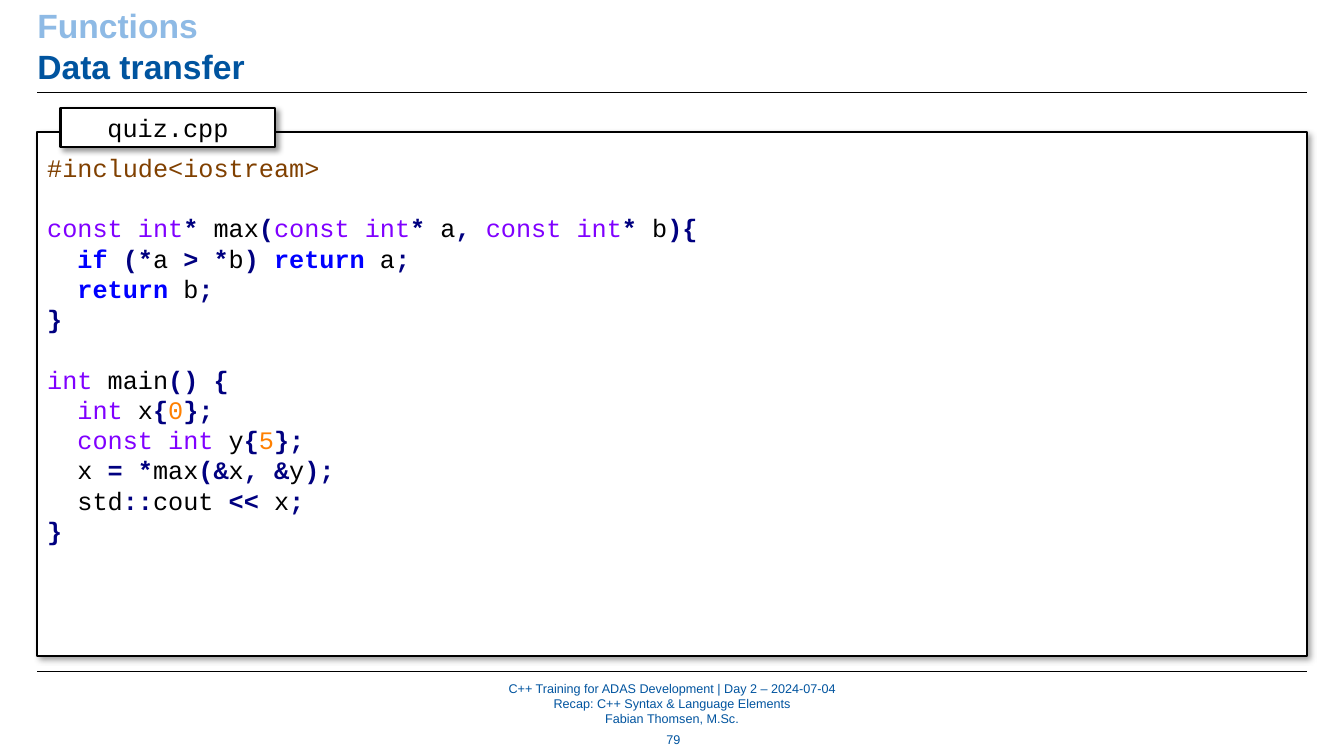
from dataclasses import dataclass
from itertools import groupby

from lxml.etree import SubElement
from pptx import Presentation
from pptx.dml.color import RGBColor
from pptx.enum.shapes import MSO_CONNECTOR, MSO_SHAPE
from pptx.enum.text import MSO_ANCHOR, PP_ALIGN
from pptx.oxml.ns import qn
from pptx.util import Inches, Pt

WIDTH, HEIGHT = Inches(13.33), Inches(7.5)
BLACK, WHITE, BLUE, LIGHT_BLUE = "000000", "FFFFFF", "00549F", "8EBAE5"
PREPROCESSOR, TYPE, KEYWORD, NUMBER, OPERATOR = "804000", "8000FF", "0000FF", "FF8000", "000080"
MARGIN, CONTENT = 2.78, 94.5
CODE_SIZE, CODE_LINE = 18, 21.6

CODE = """#include<iostream>

const int* max(const int* a, const int* b){
  if (*a > *b) return a;
  return b;
}

int main() {
  int x{0};
  const int y{5};
  x = *max(&x, &y);
  std::cout << x;
}"""


@dataclass
class Box:
    """Left, top, width and height in percent of the slide."""
    x: float
    y: float
    w: float
    h: float

    def emu(self) -> tuple[int, int, int, int]:
        return (int(WIDTH * self.x / 100), int(HEIGHT * self.y / 100),
                int(WIDTH * self.w / 100), int(HEIGHT * self.h / 100))


@dataclass
class Run:
    text: str
    color: str = BLACK
    bold: bool = False


@dataclass
class Line:
    runs: list[Run]
    before: float = 0


@dataclass
class TextBlock:
    box: Box
    lines: list[Line]
    size: float
    align: PP_ALIGN = PP_ALIGN.CENTER
    anchor: MSO_ANCHOR = MSO_ANCHOR.MIDDLE


def rgb(color: str) -> RGBColor:
    return RGBColor.from_string(color)


def write(sp, lines: list[Line], *, size: float, font: str = "Arial",
          align: PP_ALIGN = PP_ALIGN.LEFT, anchor: MSO_ANCHOR = MSO_ANCHOR.TOP,
          insets: tuple[float, ...] = (0, 0, 0, 0), spacing: float | None = None) -> None:
    """Fill a shape with lines; insets are left, top, right, bottom in inches."""
    tf = sp.text_frame
    tf.word_wrap = True
    tf.vertical_anchor = anchor
    tf.margin_left, tf.margin_top, tf.margin_right, tf.margin_bottom = map(Inches, insets)
    for i, line in enumerate(lines):
        p = tf.paragraphs[0] if i == 0 else tf.add_paragraph()
        p.alignment = align
        p.space_before = Pt(line.before)
        if spacing:
            p.line_spacing = Pt(spacing)
        for run in line.runs:
            r = p.add_run()
            r.text = run.text
            r.font.name, r.font.size, r.font.bold = font, Pt(size), run.bold
            r.font.color.rgb = rgb(run.color)


def add_rule(s, y: float) -> None:
    x, top, w, _ = Box(MARGIN, y, CONTENT, 0).emu()
    line = s.shapes.add_connector(MSO_CONNECTOR.STRAIGHT, x, top, x + w, top)
    line.line.color.rgb, line.line.width = rgb(BLACK), Pt(0.5)
    SubElement(line._element.spPr, qn("a:effectLst"))


def add_panel(group, box: Box):
    """Add a white, black-edged rectangle with a soft shadow."""
    sp = group.shapes.add_shape(MSO_SHAPE.RECTANGLE, *box.emu())
    sp.fill.solid()
    sp.fill.fore_color.rgb = rgb(WHITE)
    sp.line.color.rgb, sp.line.width = rgb(BLACK), Pt(1.5)
    sp.shadow.inherit = False
    effects = sp._element.spPr.find(qn("a:effectLst"))
    shadow = SubElement(effects, qn("a:outerShdw"), blurRad=str(Pt(4)), dist=str(Pt(3)),
                        dir=str(45 * 60000), algn="tl", rotWithShape="0")
    color = SubElement(shadow, qn("a:srgbClr"), val=BLACK)
    SubElement(color, qn("a:alpha"), val="40000")
    return sp


def char_kind(char: str) -> str:
    if char.isalnum():
        return "word"
    return "space" if char.isspace() else "operator"


def style_token(kind: str, text: str) -> Run:
    if kind == "operator":
        return Run(text, OPERATOR, True)
    if text in ("if", "return"):
        return Run(text, KEYWORD, True)
    if text in ("const", "int"):
        return Run(text, TYPE)
    return Run(text, NUMBER if text.isdigit() else BLACK)


def highlight(code: str) -> list[Line]:
    """Colour C++ code; an empty line becomes space before the next one."""
    lines, before = [], 0
    for text in code.splitlines():
        if not text:
            before = CODE_LINE
            continue
        if text.startswith("#"):
            runs = [Run(text, PREPROCESSOR)]
        else:
            runs = [style_token(kind, "".join(chars)) for kind, chars in groupby(text, char_kind)]
        lines.append(Line(runs, before))
        before = 0
    return lines


FOOTER = ["C++ Training for ADAS Development | Day 2 – 2024-07-04",
          "Recap: C++ Syntax & Language Elements", "Fabian Thomsen, M.Sc."]
TEXTS = [
    TextBlock(Box(25.73, 90, 48.54, 6.13), [Line([Run(t, BLUE)]) for t in FOOTER], 9),
    TextBlock(Box(MARGIN, 0.67, CONTENT, 10.8),
              [Line([Run("Functions", LIGHT_BLUE, True)]), Line([Run("Data transfer", BLUE, True)])],
              24, PP_ALIGN.LEFT, MSO_ANCHOR.TOP),
    TextBlock(Box(48.15, 96.13, 3.9, 3.47), [Line([Run("79", BLUE)])], 9),
]


def main() -> None:
    prs = Presentation()
    prs.slide_width, prs.slide_height = WIDTH, HEIGHT
    s = prs.slides.add_slide(prs.slide_layouts[6])
    for y in (12.27, 88.8):
        add_rule(s, y)
    for block in TEXTS:
        write(s.shapes.add_textbox(*block.box.emu()), block.lines, size=block.size,
              align=block.align, anchor=block.anchor)
    listing = s.shapes.add_group_shape()
    write(add_panel(listing, Box(MARGIN, 17.47, CONTENT, 69.33)), highlight(CODE),
          size=CODE_SIZE, font="Courier New", insets=(0.1, 0.2, 0.1, 0.05), spacing=CODE_LINE)
    write(add_panel(listing, Box(4.5, 14.27, 15.98, 5.2)), [Line([Run("quiz.cpp")])],
          size=CODE_SIZE, font="Courier New", align=PP_ALIGN.CENTER, anchor=MSO_ANCHOR.MIDDLE,
          insets=(0.1, 0.05, 0.1, 0.05))
    prs.save("out.pptx")


if __name__ == "__main__":
    main()
